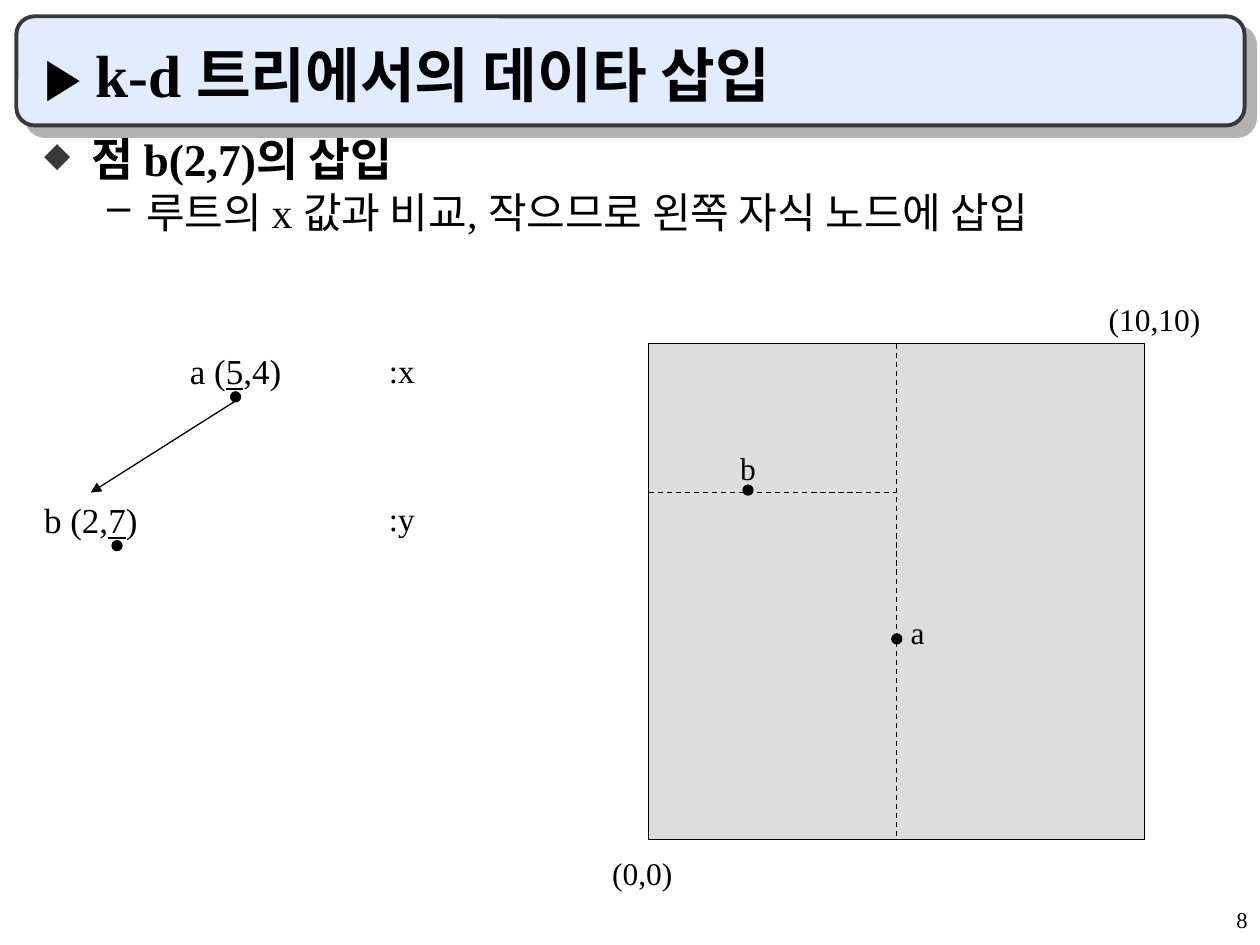
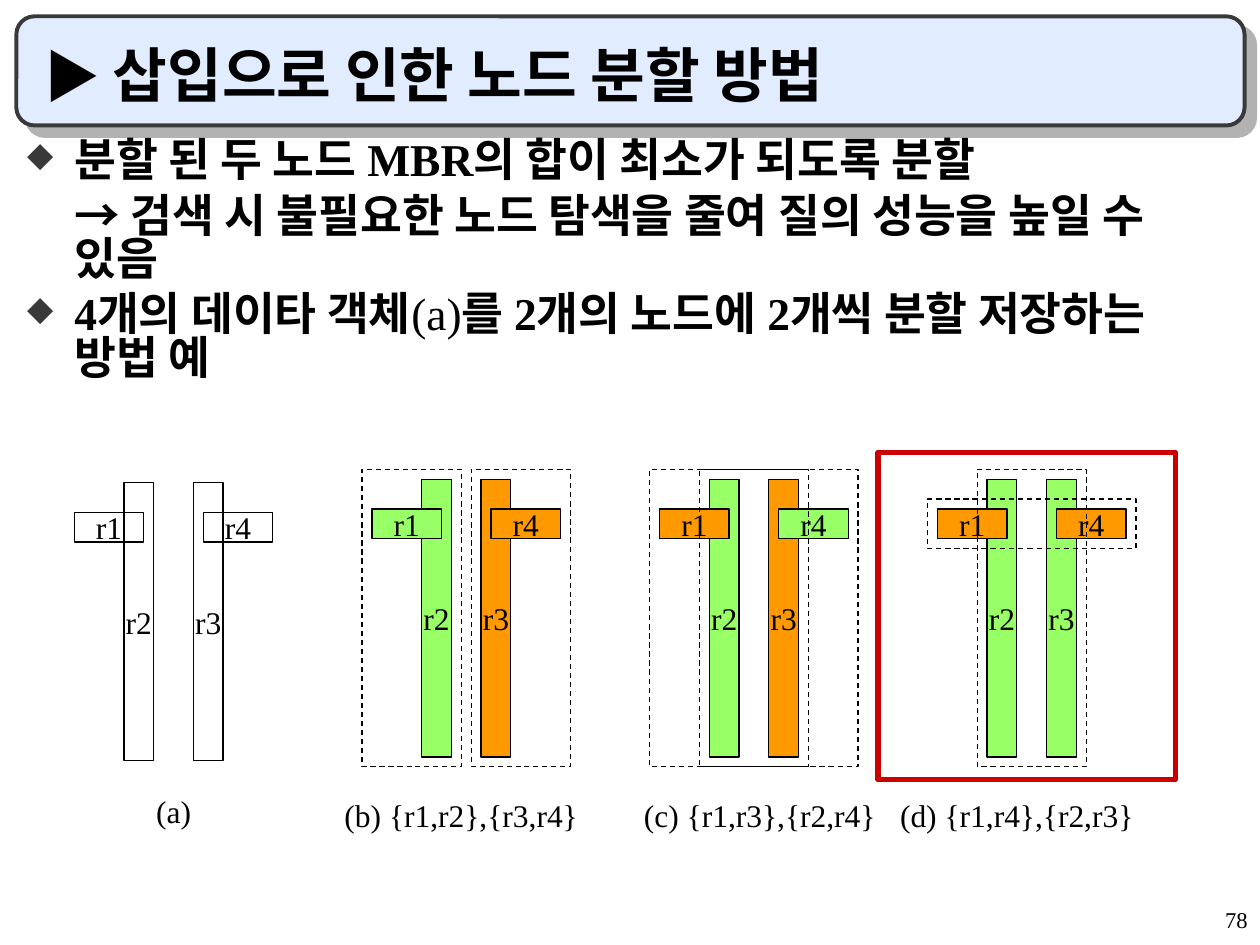
from lxml import etree
from pptx import Presentation
from pptx import util as u
from pptx.dml.color import RGBColor
from pptx.enum import dml, shapes, text
from pptx.oxml.ns import qn

COLORS = {
    "ink": "000000", "band": "E1ECFF", "edge": "393939", "shadow": "B2B2B2",
    "space": "DDDDDD", "green": "99FF66", "orange": "FF9900", "red": "CC0000",
}
FONT = "Times New Roman"
RECT = shapes.MSO_SHAPE.RECTANGLE
LEFT, CENTER, RIGHT = text.PP_ALIGN.LEFT, text.PP_ALIGN.CENTER, text.PP_ALIGN.RIGHT


def rgb(name):
    return RGBColor.from_string(COLORS[name])


def add_xml(parent, tag, **attrs):
    return etree.SubElement(parent, qn(tag), {k: str(v) for k, v in attrs.items()})


class Deck:
    def __init__(self):
        self.prs = Presentation()
        self.prs.slide_width, self.prs.slide_height = u.Cm(25.4), u.Cm(19.05)
        self.s = None

    def slide(self, title, number):
        """Start a slide with the title band and the page number."""
        self.s = self.prs.slides.add_slide(self.prs.slide_layouts[6])
        band = self.shape(shapes.MSO_SHAPE.ROUNDED_RECTANGLE, (0.33, 0.33, 24.76, 2.2),
                          "band", "edge", 2.25)
        effects = band._element.spPr.find(qn("a:effectLst"))
        shadow = add_xml(effects, "a:outerShdw", blurRad=0, dist=u.Pt(8.5),
                         dir=45 * 60000, algn="ctr", rotWithShape=0)
        add_xml(shadow, "a:srgbClr", val=COLORS["shadow"])
        p = self.label(str(number), (20.12, 18.21, 5.28, 0.84), 12.9, RIGHT)
        p.line_spacing = 0.9
        p = self.label([("▶ ", {"size": u.Pt(32)}), (title, {})],
                       (0.64, 0.64, 23.93, 1.7), 34, anchor=text.MSO_ANCHOR.BOTTOM)
        p.font.bold = True

    def shape(self, kind, box, fill=None, line="ink", width=0.75, dashed=False):
        sp = self.s.shapes.add_shape(kind, *map(u.Cm, box))
        sp.shadow.inherit = False
        if fill:
            sp.fill.solid()
            sp.fill.fore_color.rgb = rgb(fill)
        else:
            sp.fill.background()
        self.stroke(sp.line, line, width, dashed)
        return sp

    def stroke(self, line, color="ink", width=0.75, dashed=False):
        line.color.rgb = rgb(color)
        line.width = u.Pt(width)
        if dashed:
            line.dash_style = dml.MSO_LINE.DASH

    def line(self, start, end, dashed=False, arrow=False):
        cx = self.s.shapes.add_connector(shapes.MSO_CONNECTOR.STRAIGHT,
                                         *map(u.Cm, (*start, *end)))
        self.stroke(cx.line, dashed=dashed)
        if arrow:
            add_xml(cx.line._get_or_add_ln(), "a:tailEnd", type="triangle")
        add_xml(cx._element.spPr, "a:effectLst")

    def dot(self, x, y, d=0.2):
        self.shape(shapes.MSO_SHAPE.OVAL, (x - d / 2, y - d / 2, d, d), "ink")

    def fill_paragraph(self, p, runs, size, align=LEFT):
        """Take a string or (text, font overrides) pairs as runs."""
        p.alignment = align
        p.font.name, p.font.size = FONT, u.Pt(size)
        p.font.color.rgb = rgb("ink")
        for words, overrides in [(runs, {})] if isinstance(runs, str) else runs:
            r = p.add_run()
            r.text = words
            for key, value in overrides.items():
                setattr(r.font, key, value)
        return p

    def label(self, runs, box, size=18, align=LEFT, wrap=True, anchor=text.MSO_ANCHOR.TOP):
        tf = self.s.shapes.add_textbox(*map(u.Cm, box)).text_frame
        tf.word_wrap, tf.vertical_anchor = wrap, anchor
        return self.fill_paragraph(tf.paragraphs[0], runs, size, align)

    def bar(self, name, box, fill):
        tf = self.shape(RECT, box, fill).text_frame
        tf.word_wrap, tf.vertical_anchor = False, text.MSO_ANCHOR.MIDDLE
        self.fill_paragraph(tf.paragraphs[0], name, 18, CENTER)

    def body(self, left, width, items):
        """Add (kind, runs) items; kind is point, more or dash."""
        tf = self.s.shapes.add_textbox(*map(u.Cm, (left, 2.74, width, 14.81))).text_frame
        tf.word_wrap = True
        for i, (kind, runs) in enumerate(items):
            p = tf.add_paragraph() if i else tf.paragraphs[0]
            margin, hang, mark, color, size, before = {
                "point": (0.95, 0.95, "◆", "edge", 26, 6.5),
                "more": (0.95, 0, None, None, 26, 6.5),
                "dash": (2.06, 0.79, "–", "ink", 24, 6),
            }[kind]
            pPr = p._p.get_or_add_pPr()
            pPr.set("marL", str(u.Cm(margin)))
            pPr.set("indent", str(-u.Cm(hang)))
            if mark:
                add_xml(add_xml(pPr, "a:buClr"), "a:srgbClr", val=COLORS[color])
                add_xml(pPr, "a:buSzPct", val=75000 if kind == "point" else 100000)
                add_xml(pPr, "a:buChar", char=mark)
            self.fill_paragraph(p, runs, size)
            p.font.bold = kind != "dash"
            p.line_spacing = 0.8
            if i:
                p.space_before = u.Pt(before)


def insertion_slide(deck):
    deck.slide("k-d 트리에서의 데이타 삽입", 8)
    deck.body(0.64, 23.93, [
        ("point", "점 b(2,7)의 삽입"),
        ("dash", "루트의 x 값과 비교, 작으므로 왼쪽 자식 노드에 삽입"),
    ])

    # Data space: one unit is one centimetre
    left, top, side = 13.08, 6.93, 10

    def at(x, y):
        return left + x, top + side - y

    deck.shape(RECT, (left, top, side, side), "space")
    for name, point, dx, dy in (("a", (5, 4), -0.08, -0.69), ("b", (2, 7), -0.5, -1)):
        x, y = at(*point)
        deck.dot(x, y - 0.05)
        deck.label(name, (x + dx, y + dy, 1, 1), align=CENTER)
    deck.line(at(5, 10), at(5, 0), dashed=True)
    deck.line(at(0, 7), at(5, 7), dashed=True)
    deck.label("(0,0)", (12.09, 17.09, 3, 1))
    deck.label("(10,10)", (22.1, 5.92, 3, 1))

    # Tree: the underlined value is the one that splits the level
    for row, (before, key, after, center, dot_x, axis) in enumerate((
            ("a (", "5", ",4)", 4.75, 4.75, ":x"),
            ("b (2,", "7", ")", 1.83, 2.36, ":y"))):
        y = top + 3 * row
        deck.dot(dot_x, y + 1.07)
        deck.label([(before, {}), (key, {"underline": True}), (after, {})],
                   (center - 1.25, y, 2.5, 1.12), 20, CENTER, wrap=False)
        deck.label(axis, (7.59, y, 2.5, 1.06), 19)
    deck.line((4.83, 8.03), (1.83, 9.93), arrow=True)


def split_group(deck, left, top, gap, fills, pairs):
    """Draw r1 to r4 and a dashed bounding rectangle round each pair."""
    thick, tall, wide, margin = 0.6, 5.6, 1.4, 0.2
    boxes = {
        "r2": (left + 1, top, thick, tall),
        "r1": (left, top + thick, wide, thick),
        "r3": (left + 1 + gap, top, thick, tall),
        "r4": (left + 1.2 + gap, top + thick, wide, thick),
    }
    for name, box in boxes.items():
        deck.bar(name, box, fills.get(name))
    for pair in pairs:
        xs, ys, ws, hs = zip(*(boxes[name] for name in pair))
        x, y = min(xs) - margin, min(ys) - margin
        right = max(a + b for a, b in zip(xs, ws)) + margin
        bottom = max(a + b for a, b in zip(ys, hs)) + margin
        deck.shape(RECT, (x, y, right - x, bottom - y), dashed=True)


def split_slide(deck):
    deck.slide("삽입으로 인한 노드 분할 방법", 78)
    deck.body(0.3, 24.79, [
        ("point", "분할 된 두 노드 MBR의 합이 최소가 되도록 분할"),
        ("more", [("→ ", {"name": "Arial"}),
                  ("검색 시 불필요한 노드 탐색을 줄여 질의 성능을 높일 수 있음", {})]),
        ("point", [("4개의 데이타 객체", {}), ("(a)", {"bold": False}),
                   ("를 2개의 노드에 2개씩 분할 저장하는 방법 예", {})]),
    ])
    split_group(deck, 1.5, 9.73, 1.4, {}, [])
    deck.label("(a)", (2.5, 15.85, 2, 1), align=CENTER)
    for letter, left, center, green, orange in (
            ("b", 7.5, 9.3, ("r1", "r2"), ("r3", "r4")),
            ("c", 13.3, 15.32, ("r2", "r4"), ("r1", "r3")),
            ("d", 18.9, 20.5, ("r2", "r3"), ("r1", "r4"))):
        fills = {**dict.fromkeys(green, "green"), **dict.fromkeys(orange, "orange")}
        pairs = sorted((green, orange))
        split_group(deck, left, 9.66, 1.2, fills, pairs)
        sets = ",".join("{" + ",".join(pair) + "}" for pair in pairs)
        deck.label(f"({letter}) {sets}", (center - 3.4, 15.93, 6.8, 1), align=CENTER)
    deck.shape(RECT, (17.7, 9.12, 6, 6.6), line="red", width=3)


def main():
    deck = Deck()
    insertion_slide(deck)
    split_slide(deck)
    deck.prs.save("out.pptx")


if __name__ == "__main__":
    main()
